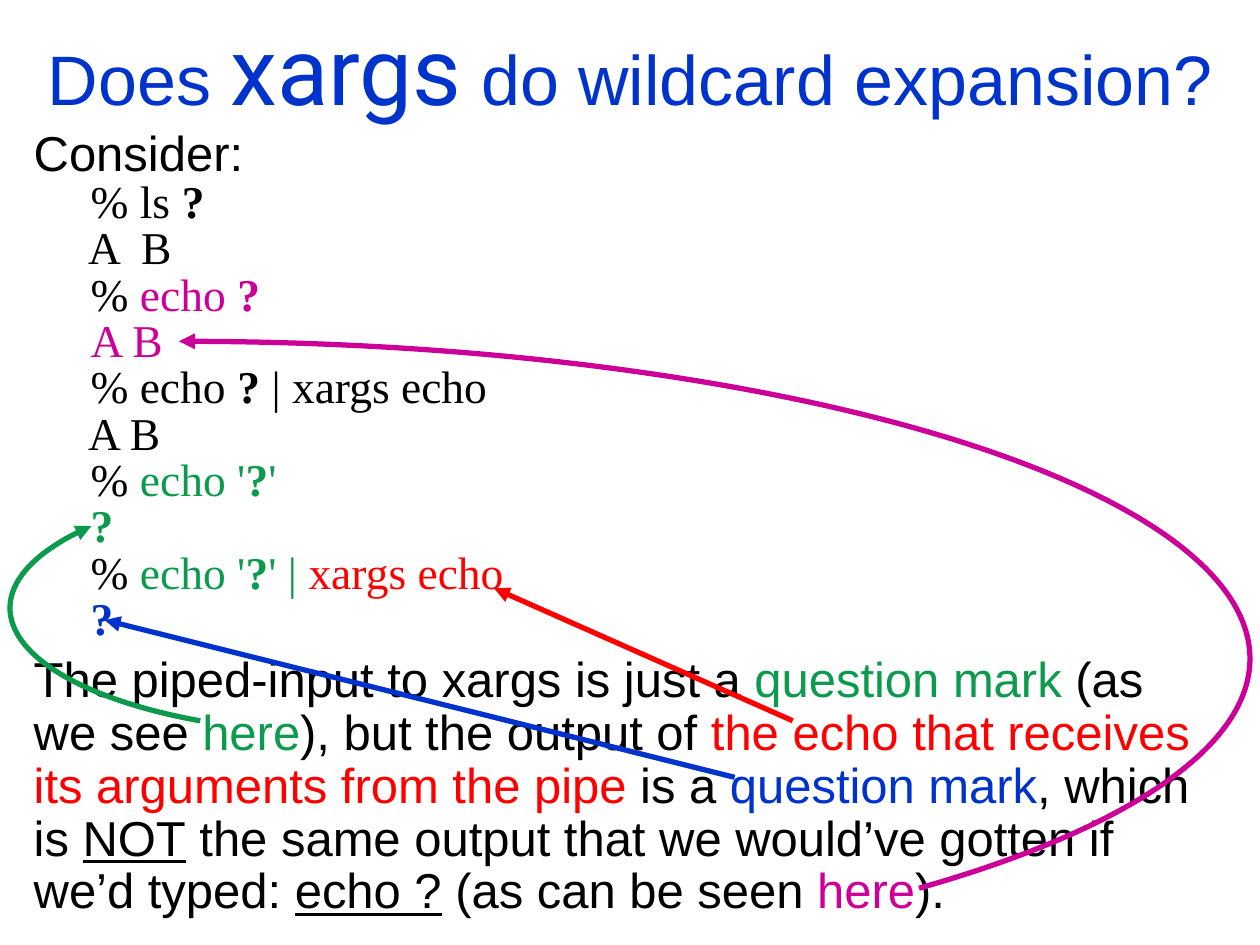
from pptx import Presentation
from pptx.dml.color import RGBColor
from pptx.enum.shapes import MSO_CONNECTOR as CONN, MSO_SHAPE as SHAPE
from pptx.enum.text import MSO_ANCHOR as ANCHOR, PP_ALIGN as ALIGN
from pptx.oxml.ns import qn
from pptx.util import Cm, Pt
from lxml.etree import SubElement

BLACK = RGBColor(0x00, 0x00, 0x00)
BLUE = RGBColor(0x00, 0x33, 0xCC)
MAGENTA = RGBColor(0xCC, 0x00, 0x99)
GREEN = RGBColor(0x0C, 0x9B, 0x4D)
RED = RGBColor(0xFF, 0x00, 0x00)

INDENT = "     "
# Terminal session: one list of (text, colour, bold) runs per line
SESSION = [
    [("% ls ", BLACK, False), ("?", BLACK, True)],
    [("A  B", BLACK, False)],
    [("% ", BLACK, False), ("echo ", MAGENTA, False), ("?", MAGENTA, True)],
    [("A B", MAGENTA, False)],
    [("% echo ", BLACK, False), ("?", BLACK, True),
     (" | xargs echo", BLACK, False)],
    [("A B", BLACK, False)],
    [("% ", BLACK, False), ("echo '", GREEN, False), ("?", GREEN, True),
     ("'", GREEN, False)],
    [("?", GREEN, True)],
    [("% ", BLACK, False), ("echo '", GREEN, False), ("?", GREEN, True),
     ("' | ", GREEN, False), ("xargs echo", RED, False)],
    [("?", BLUE, True)],
]
# Explanation: (text, colour, underlined) runs
EXPLANATION = [
    ("we see ", BLACK, False),
    ("here", GREEN, False),
    ("), but the output of ", BLACK, False),
    ("the echo that receives its arguments from the pipe", RED, False),
    (" is a ", BLACK, False),
    ("question mark", BLUE, False),
    (", which is ", BLACK, False),
    ("NOT", BLACK, True),
    (" the same output that we would’ve gotten if we’d typed: ", BLACK, False),
    ("echo ?", BLACK, True),
    (" (as can be seen ", BLACK, False),
    ("here", MAGENTA, False),
    (").", BLACK, False),
]


class SlideBuilder:
    sans, serif, display = "Arial", "Times New Roman", "Roboto"
    text_size, code_size = 28, 26
    line_width = Pt(3)

    def __init__(self, slide):
        self.s = slide

    def text_box(self, x, y, w, h, anchor=ANCHOR.TOP):
        tf = self.s.shapes.add_textbox(Cm(x), Cm(y), Cm(w), Cm(h)).text_frame
        tf.word_wrap = True
        tf.vertical_anchor = anchor
        return tf

    def paragraph(self, tf, spacing, before=0):
        p = tf.add_paragraph()
        p.line_spacing = Pt(spacing)
        p.space_before = Pt(before)
        return p

    def run(self, p, text, color, size, font, bold=False, underline=False):
        r = p.add_run()
        r.text = text
        r.font.name, r.font.size = font, Pt(size)
        r.font.bold, r.font.underline = bold, underline
        r.font.color.rgb = color

    def prose(self, p, text, color=BLACK, underline=False):
        self.run(p, text, color, self.text_size, self.sans, underline=underline)

    def code(self, p, text, color=BLACK, bold=False):
        self.run(p, text, color, self.code_size, self.serif, bold)

    def stroke(self, shape, color, arrow_end):
        shape.line.color.rgb = color
        shape.line.width = self.line_width
        SubElement(shape.line._get_or_add_ln(), qn(f"a:{arrow_end}"),
                   type="triangle")

    def arrow(self, x1, y1, x2, y2, color):
        c = self.s.shapes.add_connector(CONN.STRAIGHT, Cm(x1), Cm(y1),
                                        Cm(x2), Cm(y2))
        self.stroke(c, color, "tailEnd")
        SubElement(c._element.spPr, qn("a:effectLst"))

    def arc(self, x, y, w, h, start, end, color, arrow_end, rotation=0):
        sp = self.s.shapes.add_shape(SHAPE.ARC, Cm(x), Cm(y), Cm(w), Cm(h))
        # Degrees to the shape's adjustment unit
        sp.adjustments[0], sp.adjustments[1] = start * 0.6, end * 0.6
        sp.rotation = rotation
        sp.fill.background()
        sp.shadow.inherit = False
        self.stroke(sp, color, arrow_end)


def main():
    prs = Presentation()
    prs.slide_width, prs.slide_height = Cm(25.4), Cm(19.05)
    b = SlideBuilder(prs.slides.add_slide(prs.slide_layouts[6]))

    # Title
    p = b.text_box(0, 0, 25.4, 2.74, ANCHOR.MIDDLE).paragraphs[0]
    p.alignment = ALIGN.CENTER
    b.run(p, "Does ", BLUE, 40, b.sans)
    b.run(p, "xargs", BLUE, 54, b.display)
    b.run(p, " do wildcard expansion?", BLUE, 40, b.sans)

    # Lead-in and terminal session
    tf = b.text_box(0.43, 2.34, 24.56, 15.44)
    p = tf.paragraphs[0]
    p.line_spacing = Pt(33.6)
    b.prose(p, "Consider:")
    for line in SESSION:
        p = b.paragraph(tf, 26.5)
        b.code(p, INDENT)
        for text, color, bold in line:
            b.code(p, text, color, bold)

    # Explanation
    p = b.paragraph(tf, 30.2, before=5.6)
    b.prose(p, "The piped-input to xargs is just a ")
    b.prose(p, "question mark ", GREEN)
    b.prose(p, "(as")
    p.add_line_break()
    for text, color, underline in EXPLANATION:
        b.prose(p, text, color, underline)

    # Arrows from the explanation to the session
    b.arrow(15.98, 14.53, 9.96, 11.86, RED)
    b.arrow(14.81, 15.67, 2.11, 12.5, BLUE)
    b.arc(-17.98, 6.88, 43.18, 12.8, 270, 17.23, MAGENTA, "headEnd")
    b.arc(0.2, 9.73, 13.54, 5.05, 322.2, 17.8, GREEN, "tailEnd", rotation=180)

    prs.save("out.pptx")


if __name__ == "__main__":
    main()
